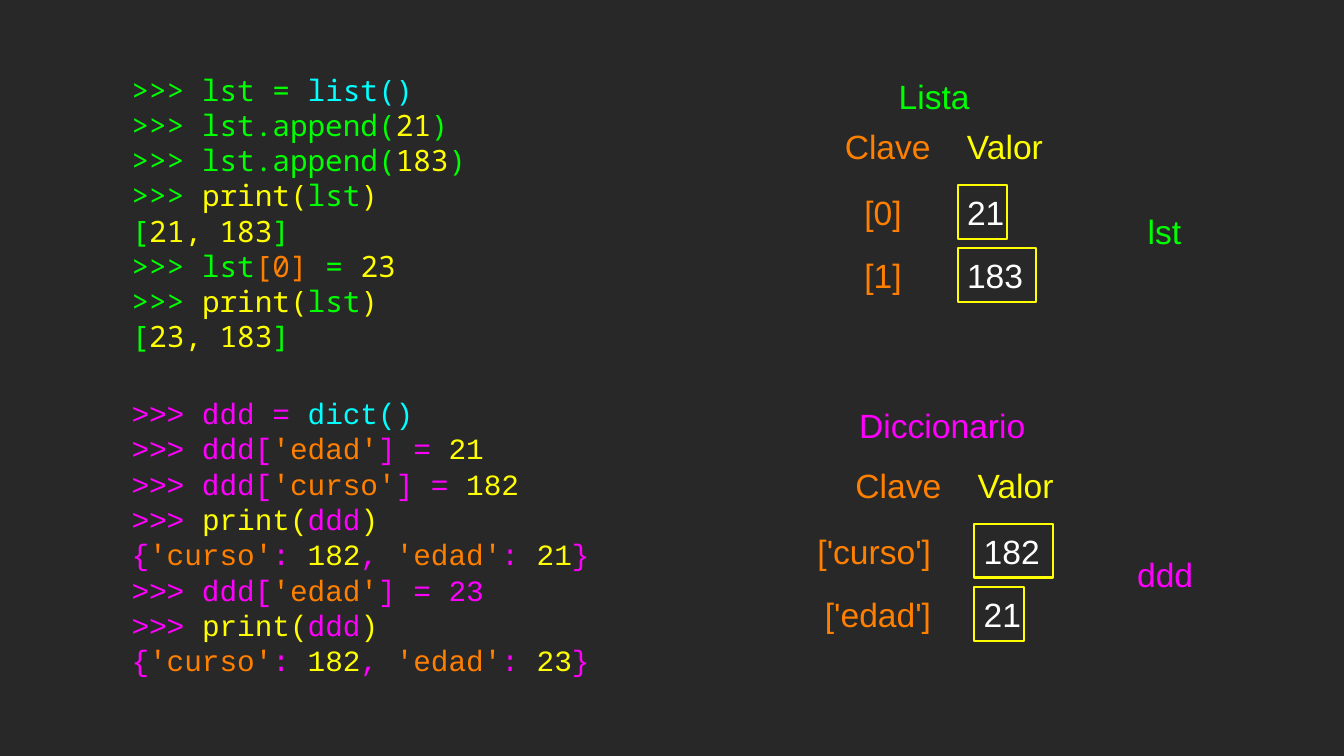
"""Build a slide that compares a Python list with a dictionary."""
from pptx import Presentation
from pptx.dml.color import RGBColor
from pptx.enum.shapes import MSO_SHAPE as Shape
from pptx.enum.text import MSO_ANCHOR as Anchor, PP_ALIGN as Align
from pptx.util import Inches, Pt

WIDTH, HEIGHT = Inches(17.78), Inches(10)
COLOURS = {
    "background": "282828",
    "green": "00FF00",
    "cyan": "00FFFF",
    "yellow": "FFFF00",
    "orange": "FF7F00",
    "magenta": "FF00FF",
    "white": "FFFFFF",
}
LIST_CODE = [
    "green~>>> lst = |cyan~list()",
    "green~>>> lst.append(|yellow~21|green~)",
    "green~>>> lst.append(|yellow~183|green~)",
    "green~>>> |yellow~print(|green~lst|yellow~)",
    "green~[|yellow~21, 183|green~]",
    "green~>>> lst|orange~[0]|green~ = |yellow~23",
    "green~>>> |yellow~print(|green~lst|yellow~)",
    "green~[|yellow~23, 183|green~]",
]
DICT_CODE = [
    "magenta~>>> ddd = |cyan~dict()",
    "magenta~>>> ddd[|orange~'edad'|magenta~] = |yellow~21",
    "magenta~>>> ddd[|orange~'curso'|magenta~] = |yellow~182",
    "magenta~>>> |yellow~print(|magenta~ddd|yellow~)",
    "magenta~{|orange~'curso'|magenta~: |yellow~182|magenta~, "
    "|orange~'edad'|magenta~: |yellow~21|magenta~}",
    "magenta~>>> ddd[|orange~'edad'|magenta~] = 23",
    "magenta~>>> |yellow~print(|magenta~ddd|yellow~)",
    "magenta~{|orange~'curso'|magenta~: |yellow~182|magenta~, "
    "|orange~'edad'|magenta~: |yellow~23|magenta~}",
]
ROW_STEP = 8.35


def colour(name):
    """Return the named colour."""
    return RGBColor.from_string(COLOURS[name])


def area(left, top, width, height):
    """Turn percentages of the slide into lengths."""
    return [round(share * side / 100) for share, side in
            zip((left, top, width, height), (WIDTH, HEIGHT) * 2)]


def prepare_frame(shape):
    """Remove the margins of a shape and centre its text vertically."""
    frame = shape.text_frame
    frame.word_wrap = True
    frame.vertical_anchor = Anchor.MIDDLE
    frame.margin_left = frame.margin_right = 0
    frame.margin_top = frame.margin_bottom = 0
    return frame


def format_run(run, font, size, colour_name):
    """Set the font, size and colour of a run."""
    run.font.name = font
    run.font.size = Pt(size)
    run.font.color.rgb = colour(colour_name)


def write_label(shape, text, colour_name, align):
    """Write one line of Arial text into a shape."""
    frame = prepare_frame(shape)
    frame.text = text
    paragraph = frame.paragraphs[0]
    paragraph.alignment = align
    format_run(paragraph.runs[0], "Arial", 32, colour_name)


def add_label(slide, place, text, colour_name, align=Align.CENTER):
    """Add a text box with one line."""
    write_label(slide.shapes.add_textbox(*area(*place)), text, colour_name, align)


def add_value(slide, place, text):
    """Add an outlined box that holds a value."""
    shape = slide.shapes.add_shape(Shape.RECTANGLE, *area(*place))
    shape.shadow.inherit = False
    shape.fill.background()
    shape.line.color.rgb = colour("yellow")
    shape.line.width = Pt(2)
    write_label(shape, f" {text}", "white", Align.LEFT)


def add_code(slide, place, lines, font):
    """Add a block of coloured code."""
    frame = prepare_frame(slide.shapes.add_textbox(*area(*place)))
    for index, line in enumerate(lines):
        paragraph = frame.add_paragraph() if index else frame.paragraphs[0]
        paragraph.line_spacing = Pt(33.6)
        for piece in line.split("|"):
            colour_name, text = piece.split("~")
            run = paragraph.add_run()
            run.text = text
            format_run(run, font, 28, colour_name)


def add_entries(slide, top, key_right, value_left, entries):
    """Add rows of keys and boxed values."""
    for index, (key, key_width, value) in enumerate(entries):
        row = top + index * ROW_STEP
        key_place = (key_right - key_width, row + 0.15, key_width, 6.8)
        add_label(slide, key_place, key, "orange", Align.RIGHT)
        value_width = 3.66 if len(value) == 2 else 5.85
        add_value(slide, (value_left, row, value_width, 7.1), value)


def add_headers(slide, top, key_left, value_left):
    """Add the headings above the keys and values."""
    add_label(slide, (key_left, top, 6.81, 6.8), "Clave", "orange")
    add_label(slide, (value_left, top, 6.81, 6.8), "Valor", "yellow")


def main():
    """Build and save the presentation."""
    presentation = Presentation()
    presentation.slide_width, presentation.slide_height = WIDTH, HEIGHT
    slide = presentation.slides.add_slide(presentation.slide_layouts[6])
    slide.background.fill.solid()
    slide.background.fill.fore_color.rgb = colour("background")

    add_code(slide, (9.79, 8.5, 34.98, 39.3), LIST_CODE, "Noto Sans Mono")
    add_code(slide, (9.79, 49.4, 38.25, 43.1), DICT_CODE, "Courier New")

    add_entries(slide, 24.5, 67.1, 71.26,
                [("[0]", 3.99, "21"), ("[1]", 3.99, "183")])
    add_label(slide, (84.65, 26.3, 3.99, 8.5), "lst", "green")
    add_headers(slide, 15.9, 62.65, 71.37)

    add_entries(slide, 69.3, 69.29, 72.5,
                [("['curso']", 11.36, "182"), ("['edad']", 9.28, "21")])
    add_label(slide, (83.63, 71.7, 6.13, 8.5), "ddd", "magenta")
    add_headers(slide, 60.7, 63.44, 72.16)

    add_label(slide, (66.59, 8.4, 5.85, 8.5), "Lista", "green")
    add_label(slide, (62.04, 52, 16.14, 8.5), "Diccionario", "magenta")
    presentation.save("out.pptx")


if __name__ == "__main__":
    main()
